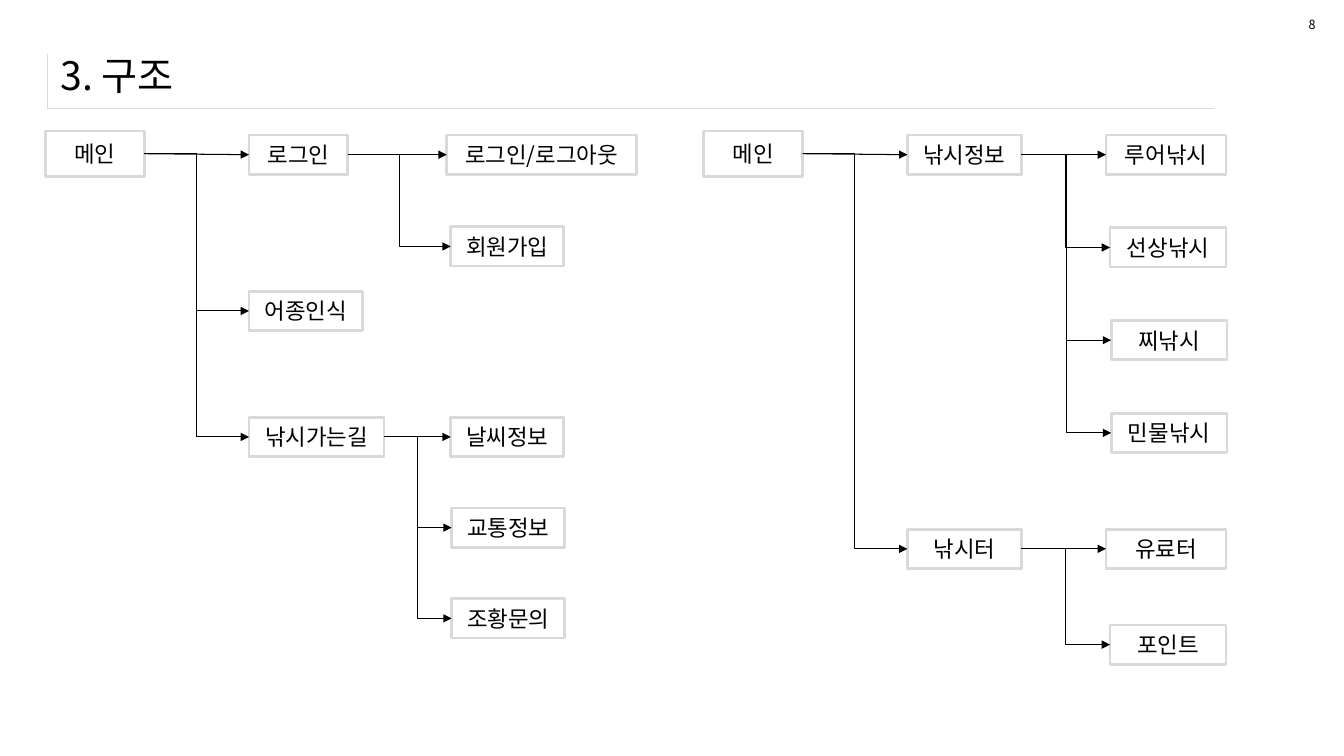
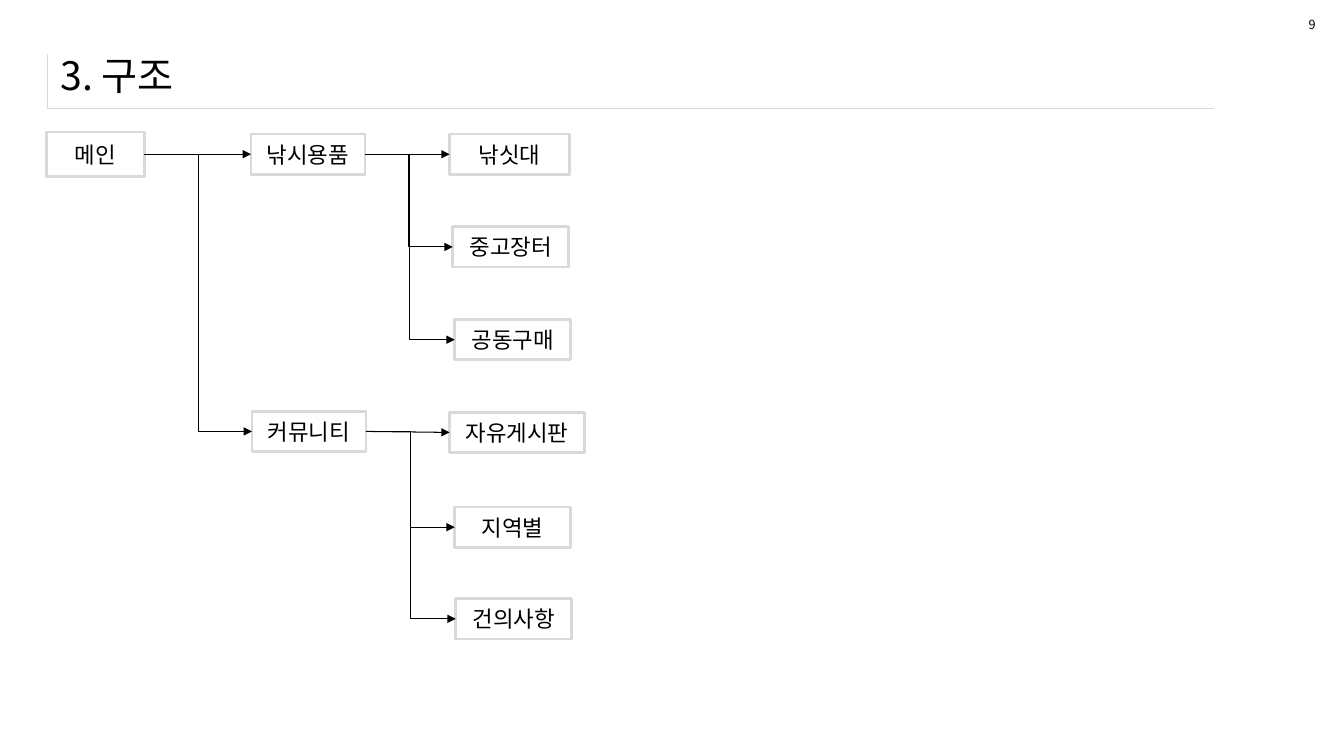
from dataclasses import dataclass

from lxml.etree import SubElement
from pptx import Presentation
from pptx.dml.color import RGBColor
from pptx.enum.shapes import MSO_CONNECTOR, MSO_SHAPE
from pptx.enum.text import MSO_ANCHOR, MSO_AUTO_SIZE, PP_ALIGN
from pptx.oxml.ns import qn
from pptx.shapes.autoshape import Shape
from pptx.slide import Slide, SlideLayout
from pptx.text.text import TextFrame
from pptx.util import Emu, Pt

COLORS = {"text": "000000", "box": "FFFFFF", "border": "D9D9D9", "arrow": "000000"}
FONT = "Noto Sans CJK KR"
TITLE = "3. 구조"
EMU_PER_PX = 9144  # 100 px to the inch


@dataclass(frozen=True)
class Node:
    """A box of the site map and the boxes it leads to."""
    text: str
    left: int
    top: int
    width: int
    height: int = 39
    children: tuple["Node", ...] = ()


@dataclass(frozen=True)
class Page:
    number: int
    trees: tuple[Node, ...]


PAGES = (
    Page(8, (
        Node("메인", 45, 130, 98, 45, (
            Node("로그인", 247, 134, 98, children=(
                Node("로그인/로그아웃", 443, 134, 188),
                Node("회원가입", 447, 225, 112),
            )),
            Node("어종인식", 247, 289, 113),
            Node("낚시가는길", 247, 414, 134, children=(
                Node("날씨정보", 447, 414, 112),
                Node("교통정보", 448, 504, 112),
                Node("조황문의", 448, 594, 112),
            )),
        )),
        Node("메인", 698, 130, 98, 45, (
            Node("낚시정보", 900, 134, 113, children=(
                Node("루어낚시", 1097, 134, 119),
                Node("선상낚시", 1101, 226, 115),
                Node("찌낚시", 1102, 318, 115),
                Node("민물낚시", 1102, 410, 115),
            )),
            Node("낚시터", 900, 525, 113, children=(
                Node("유료터", 1097, 525, 119),
                Node("포인트", 1101, 620, 115),
            )),
        )),
    )),
    Page(9, (
        Node("메인", 46, 131, 97, 44, (
            Node("낚시용품", 249, 133, 113, 40, (
                Node("낚싯대", 446, 133, 119, 40),
                Node("중고장터", 449, 225, 115, 40),
                Node("공동구매", 451, 317, 115, 40),
            )),
            Node("커뮤니티", 250, 408, 113, 40, (
                Node("자유게시판", 446, 409, 134, 40),
                Node("지역별", 451, 503, 115, 40),
                Node("건의사항", 452, 594, 115, 40),
            )),
        )),
    )),
)


def px(*values: int) -> list[Emu]:
    return [Emu(v * EMU_PER_PX) for v in values]


def rgb(name: str) -> RGBColor:
    return RGBColor.from_string(COLORS[name])


def write(tf: TextFrame, text: str, size: int, align: PP_ALIGN = PP_ALIGN.LEFT) -> None:
    tf.text = text
    p = tf.paragraphs[0]
    p.alignment = align
    font = p.runs[0].font
    font.size = Pt(size)
    font.color.rgb = rgb("text")
    font.name = FONT
    SubElement(p.runs[0].font._element, qn("a:ea"), typeface=FONT)


def add_frame(s: Slide, layout: SlideLayout) -> None:
    """Put the one-cell table with left and bottom rules on the layout."""
    frame = s.shapes.add_table(1, 1, *px(47, 54, 1156, 53))
    table = frame.table
    table.first_row = table.horz_banding = False
    cell = table.cell(0, 0)
    tc_pr = cell._tc.get_or_add_tcPr()
    for side in ("a:lnL", "a:lnB"):
        ln = SubElement(tc_pr, qn(side), w=str(Pt(0.25)))
        fill = SubElement(ln, qn("a:solidFill"))
        SubElement(fill, qn("a:srgbClr"), val=COLORS["border"])
    cell.fill.background()
    layout.shapes.element.append(frame.element)


def add_heading(s: Slide, number: int) -> None:
    title = s.shapes.title
    title.left, title.top, title.width, title.height = px(50, 41, 1249, 67)
    tf = title.text_frame
    tf.vertical_anchor = MSO_ANCHOR.MIDDLE
    tf.auto_size = MSO_AUTO_SIZE.NONE
    write(tf, TITLE, 28)

    tf = s.shapes.add_textbox(*px(1288, 12, 27, 25)).text_frame
    tf.word_wrap = False
    tf.auto_size = MSO_AUTO_SIZE.SHAPE_TO_FIT_TEXT
    write(tf, str(number), 9)


def add_box(s: Slide, node: Node) -> Shape:
    sp = s.shapes.add_shape(MSO_SHAPE.RECTANGLE,
                            *px(node.left, node.top, node.width, node.height))
    sp.shadow.inherit = False
    sp.fill.solid()
    sp.fill.fore_color.rgb = rgb("box")
    sp.line.color.rgb = rgb("border")
    sp.line.width = Pt(2)
    sp.text_frame.vertical_anchor = MSO_ANCHOR.MIDDLE
    write(sp.text_frame, node.text, 16, PP_ALIGN.CENTER)
    return sp


def add_arrow(s: Slide, parent: Shape, child: Shape) -> None:
    """Join right side to left side, straight when the boxes are level."""
    rise = (child.top + child.height // 2) - (parent.top + parent.height // 2)
    level = abs(rise) <= 2 * EMU_PER_PX
    kind = MSO_CONNECTOR.STRAIGHT if level else MSO_CONNECTOR.ELBOW
    cxn = s.shapes.add_connector(kind, 0, 0, 0, 0)
    cxn.begin_connect(parent, 3)
    cxn.end_connect(child, 1)
    cxn.line.color.rgb = rgb("arrow")
    cxn.line.width = Pt(0.75)
    sp_pr = cxn.element.spPr
    SubElement(sp_pr.find(qn("a:ln")), qn("a:tailEnd"), type="triangle")
    SubElement(sp_pr, qn("a:effectLst"))


def add_tree(s: Slide, node: Node) -> Shape:
    sp = add_box(s, node)
    for child in node.children:
        add_arrow(s, sp, add_tree(s, child))
    return sp


def main() -> None:
    prs = Presentation()
    prs.slide_width, prs.slide_height = px(1333, 750)
    layout = prs.slide_layouts[5]  # title only
    for i, page in enumerate(PAGES):
        s = prs.slides.add_slide(layout)
        if i == 0:
            add_frame(s, layout)
        add_heading(s, page.number)
        for root in page.trees:
            add_tree(s, root)
    prs.save("out.pptx")


if __name__ == "__main__":
    main()
